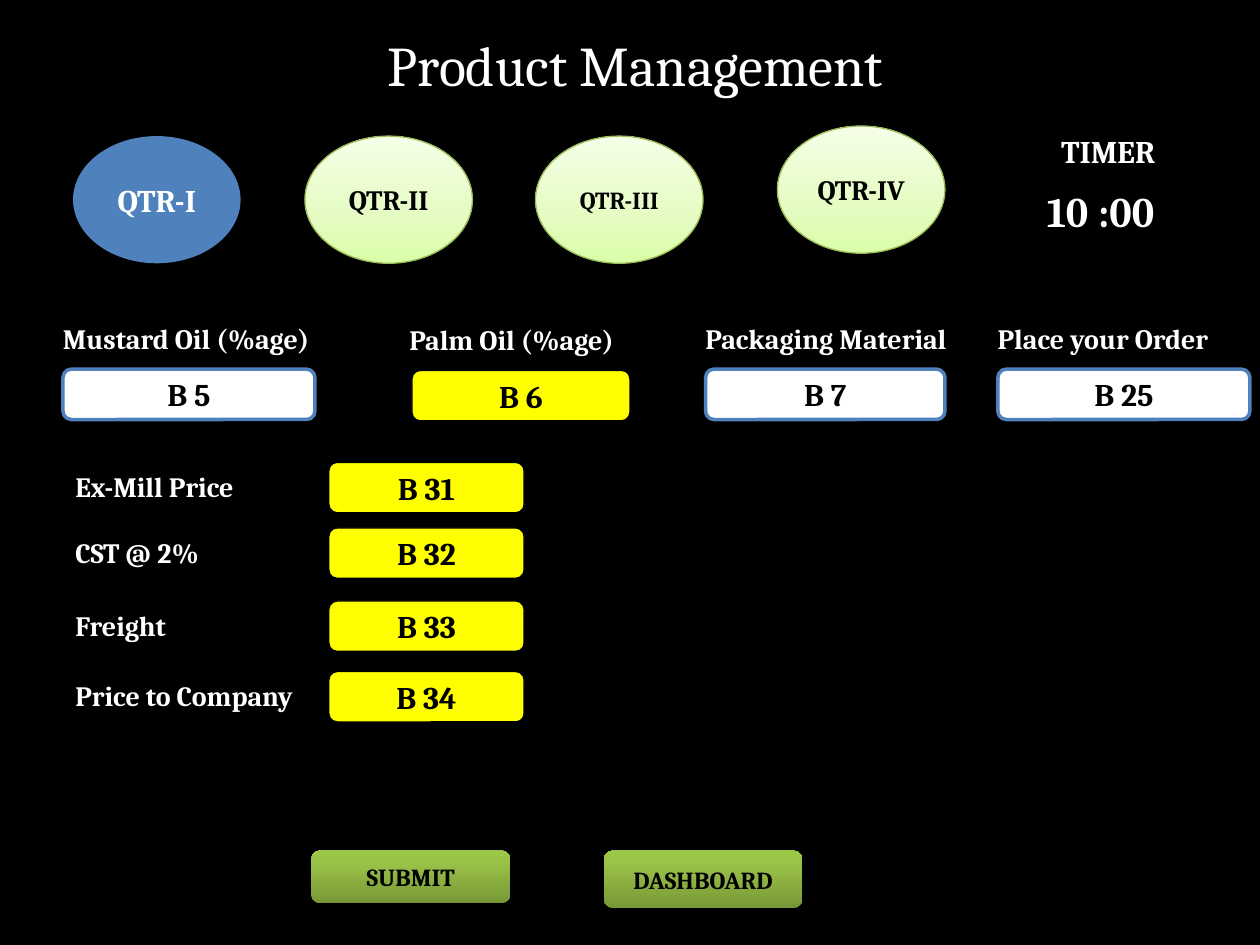
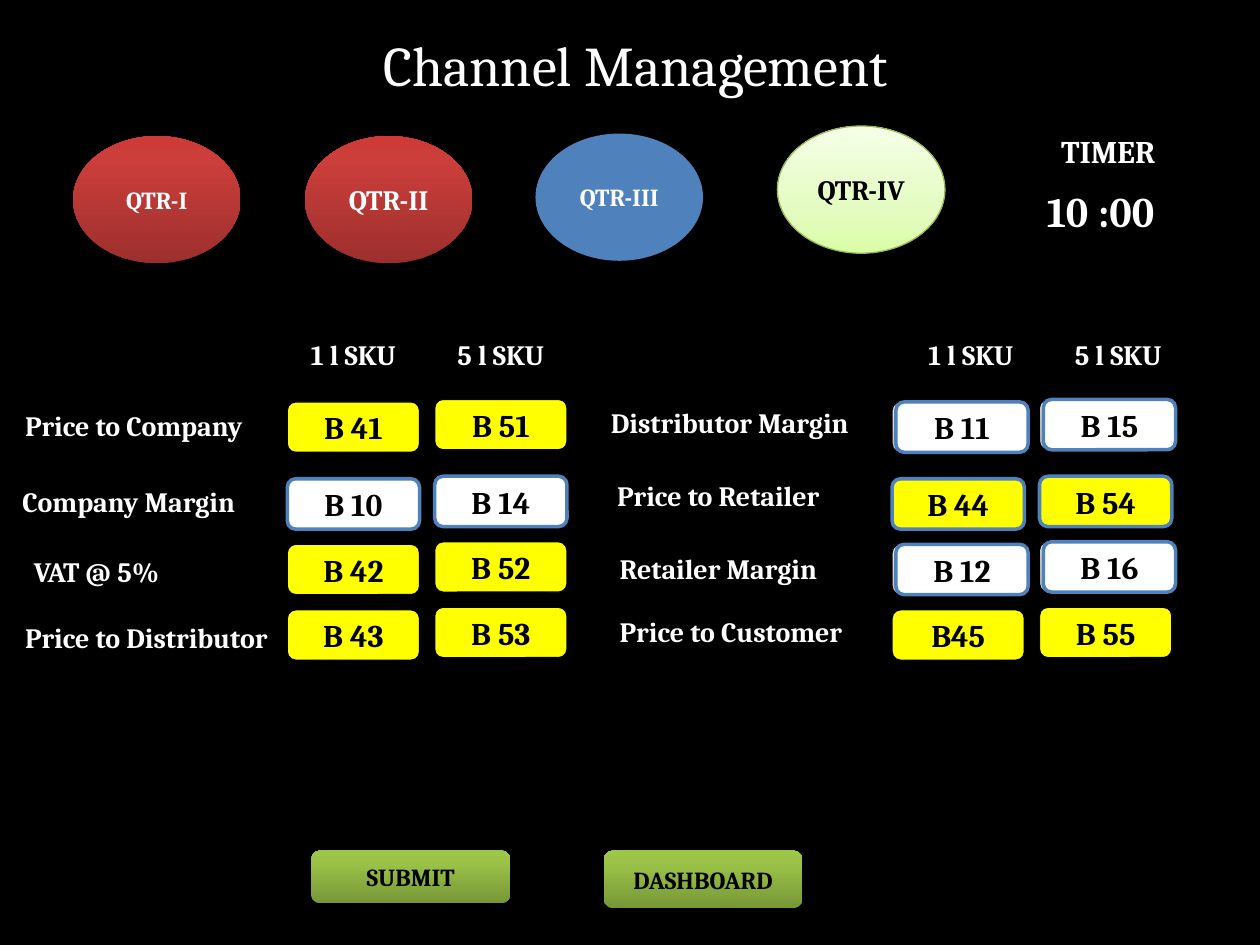
from lxml.etree import SubElement
from pptx import Presentation
from pptx.dml.color import RGBColor
from pptx.enum.shapes import MSO_SHAPE
from pptx.enum.text import MSO_ANCHOR, MSO_AUTO_SIZE, PP_ALIGN
from pptx.oxml.ns import qn
from pptx.util import Inches, Pt

FONT = "Cambria"
HUE = {"black": "000000", "white": "FFFFFF", "blue": "4F81BD",
       "yellow": "FFFF00", "leaf": "98B955"}
# Gradients run from bottom to top: (position in percent, colour)
GRADS = {
    "lime": [(0, "DAFDA7"), (35, "E4FCC2"), (100, "F5FFE7")],
    "red": [(0, "9C2F2D"), (80, "CB3E3A"), (100, "CE3B37")],
    "green": [(0, "779737"), (80, "9BC348"), (100, "9DC746")],
    "grey": [(0, "BDBDBD"), (35, "D1D1D1"), (100, "EEEEEE")],
}
# Look: fill, line, line width, text colour
LOOKS = {
    "now": ("blue", None, 0, "white"),
    "done": ("red", None, 0, "white"),
    "next": ("lime", "leaf", 0.75, "black"),
    "calc": ("yellow", "black", 0.75, "black"),
    "edge": ("yellow", "blue", 2, "black"),
    "input": ("white", "blue", 2, "black"),
    "under": ("grey", "black", 0.75, "black"),
    "button": ("green", None, 0, "black"),
    "timer": ("black", "black", 2, "white"),
}

# Shared frame
TITLE = (1.17, 0.19, 7.75, 0.64)
QTRS = [("QTR-I", 0.58), ("QTR-II", 2.42), ("QTR-III", 4.25), ("QTR-IV", 6.17)]
TIMER = [("TIMER", (8.17, 1, 1.25, 0.4), 18, PP_ALIGN.CENTER),
         ("10 :00", (8.21, 1.42, 1.16, 0.5), 24, PP_ALIGN.LEFT)]
BUTTONS = [("SUBMIT", 2.47, 0.42), ("DASHBOARD", 4.79, 0.46)]
BOX_H, LABEL_H = 0.4, 0.37

# Quarter states: look, text size, top
PRODUCT_QTRS = [("now", 18, 1.08), ("next", 16, 1.08),
                ("next", 14, 1.08), ("next", 16, 1)]
CHANNEL_QTRS = [("done", 14, 1.08), ("done", 16, 1.08),
                ("now", 14, 1.06), ("next", 16, 1)]

# Product: label, label left, cell, cell left, cell width, look, drop
ORDERS = [
    ("Mustard Oil (%age)", 0.4, "B 5", 0.5, 2, "input", 0),
    ("Palm Oil (%age)", 3.15, "B 6", 3.27, 1.73, "calc", 0.01),
    ("Packaging Material", 5.5, "B 7", 5.6, 1.9, "input", 0),
    ("Place your Order", 7.82, "B 25", 7.92, 2, "input", 0),
]
PRICES = [("Ex-Mill Price", "B 31", 3.67), ("CST @ 2%", "B 32", 4.19),
          ("Freight", "B 33", 4.77), ("Price to Company", "B 34", 5.33)]

# Channel: each row is label, label place, look, 1 l cell, 5 l cell
SKUS = ["1 l SKU", "5 l SKU"]
SKU_W, SKU_STEP, SKU_RISE = 1.05, 1.17, 0.02
ROWS = [3.19, 3.8, 4.32, 4.84]
BLOCKS = [
    {"left": 2.28, "head": 2.27, "rows": [
        ("Price to Company", (0.1, 3.19), "calc", "B 41", "B 51"),
        ("Company Margin", (0.08, 3.8), "input", "B 10", "B 14"),
        ("VAT @ 5%", (0.17, 4.35), "calc", "B 42", "B 52"),
        ("Price to Distributor", (0.1, 4.88), "calc", "B 43", "B 53")]},
    {"left": 7.08, "head": 7.17, "rows": [
        ("Distributor Margin", (4.75, 3.17), "under", "B 11", "B 15"),
        ("Price to Retailer", (4.8, 3.75), "edge", "B 44", "B 54"),
        ("Retailer Margin", (4.82, 4.33), "under", "B 12", "B 16"),
        ("Price to Customer", (4.82, 4.83), "calc", "B45", "B 55")]},
]


def rgb(name):
    return RGBColor.from_string(HUE[name])


def write(shape, text, size, ink, align=PP_ALIGN.CENTER,
          anchor=MSO_ANCHOR.MIDDLE, bold=True):
    frame = shape.text_frame
    form = {"word_wrap": True, "auto_size": MSO_AUTO_SIZE.NONE,
            "vertical_anchor": anchor}
    for key, val in form.items():
        setattr(frame, key, val)
    para = frame.paragraphs[0]
    para.alignment = align
    run = para.add_run()
    run.text = text
    for key, val in {"name": FONT, "size": Pt(size), "bold": bold}.items():
        setattr(run.font, key, val)
    run.font.color.rgb = rgb(ink)


def shade(shape, stops):
    """Fill with a vertical gradient of any number of stops."""
    shape.fill.gradient()
    shape.fill.gradient_angle = 90
    group = shape.element.spPr.find(qn("a:gradFill")).find(qn("a:gsLst"))
    for stop in list(group):
        group.remove(stop)
    for pos, tone in stops:
        stop = SubElement(group, qn("a:gs"), pos=str(pos * 1000))
        SubElement(stop, qn("a:srgbClr"), val=tone)


def draw(slide, form, place, look, text="", size=18, **style):
    fill, line, width, ink = LOOKS[look]
    shape = slide.shapes.add_shape(form, *map(Inches, place))
    shape.shadow.inherit = False
    if fill in GRADS:
        shade(shape, GRADS[fill])
    else:
        shape.fill.solid()
        shape.fill.fore_color.rgb = rgb(fill)
    if line:
        shape.line.color.rgb = rgb(line)
        shape.line.width = Pt(width)
    else:
        shape.line.fill.background()
    if text:
        write(shape, text, size, ink, **style)


def box(slide, place, look, text="", size=18):
    draw(slide, MSO_SHAPE.ROUNDED_RECTANGLE, place, look, text, size)


def label(slide, text, left, top, width=2.68, align=PP_ALIGN.LEFT):
    place = left, top, min(width, 10 - left), LABEL_H
    area = slide.shapes.add_textbox(*map(Inches, place))
    write(area, text, 16, "white", align, MSO_ANCHOR.TOP)


def start(deck, title, states):
    """Add a slide with title, quarters, timer and buttons."""
    slide = deck.slides.add_slide(deck.slide_layouts[5])
    head = slide.shapes.title
    for key, val in zip(("left", "top", "width", "height"), TITLE):
        setattr(head, key, Inches(val))
    write(head, title, 32, "white", anchor=MSO_ANCHOR.TOP, bold=False)
    for (text, left), (look, size, top) in zip(QTRS, states):
        draw(slide, MSO_SHAPE.OVAL, (left, top, 1.33, 1.01), look, text, size)
    for text, place, size, align in TIMER:
        draw(slide, MSO_SHAPE.RECTANGLE, place, "timer", text, size,
             align=align, anchor=MSO_ANCHOR.TOP)
    for text, left, high in BUTTONS:
        box(slide, (left, 6.75, 1.58, high), "button", text, 14)
    return slide


def product(deck):
    slide = start(deck, "Product Management", PRODUCT_QTRS)
    for text, x, cell, left, width, look, drop in ORDERS:
        label(slide, text, x, 2.5 + drop)
        box(slide, (left, 2.93 + drop, width, BOX_H), look, cell)
    for text, cell, top in PRICES:
        label(slide, text, 0.5, top + 0.01, 2)
        box(slide, (2.61, top, 1.55, BOX_H), "calc", cell)


def channel(deck):
    slide = start(deck, "Channel Management", CHANNEL_QTRS)
    for block in BLOCKS:
        for col, sku in enumerate(SKUS):
            label(slide, sku, block["head"] + col * SKU_STEP, 2.63, 1.07,
                  PP_ALIGN.CENTER)
        for top, (text, spot, look, *cells) in zip(ROWS, block["rows"]):
            label(slide, text, *spot)
            for col, cell in enumerate(cells):
                x = block["left"] + col * SKU_STEP
                y = top - col * SKU_RISE
                if look == "under":
                    box(slide, (x, y, SKU_W, BOX_H), look)
                    box(slide, (x + 0.03, y, SKU_W, BOX_H), "input", cell)
                else:
                    box(slide, (x, y, SKU_W, BOX_H), look, cell)


def main():
    deck = Presentation()
    deck.slide_width, deck.slide_height = Inches(10), Inches(7.5)
    back = deck.slide_master.background.fill
    back.solid()
    back.fore_color.rgb = rgb("black")
    product(deck)
    channel(deck)
    deck.save("out.pptx")


if __name__ == "__main__":
    main()
